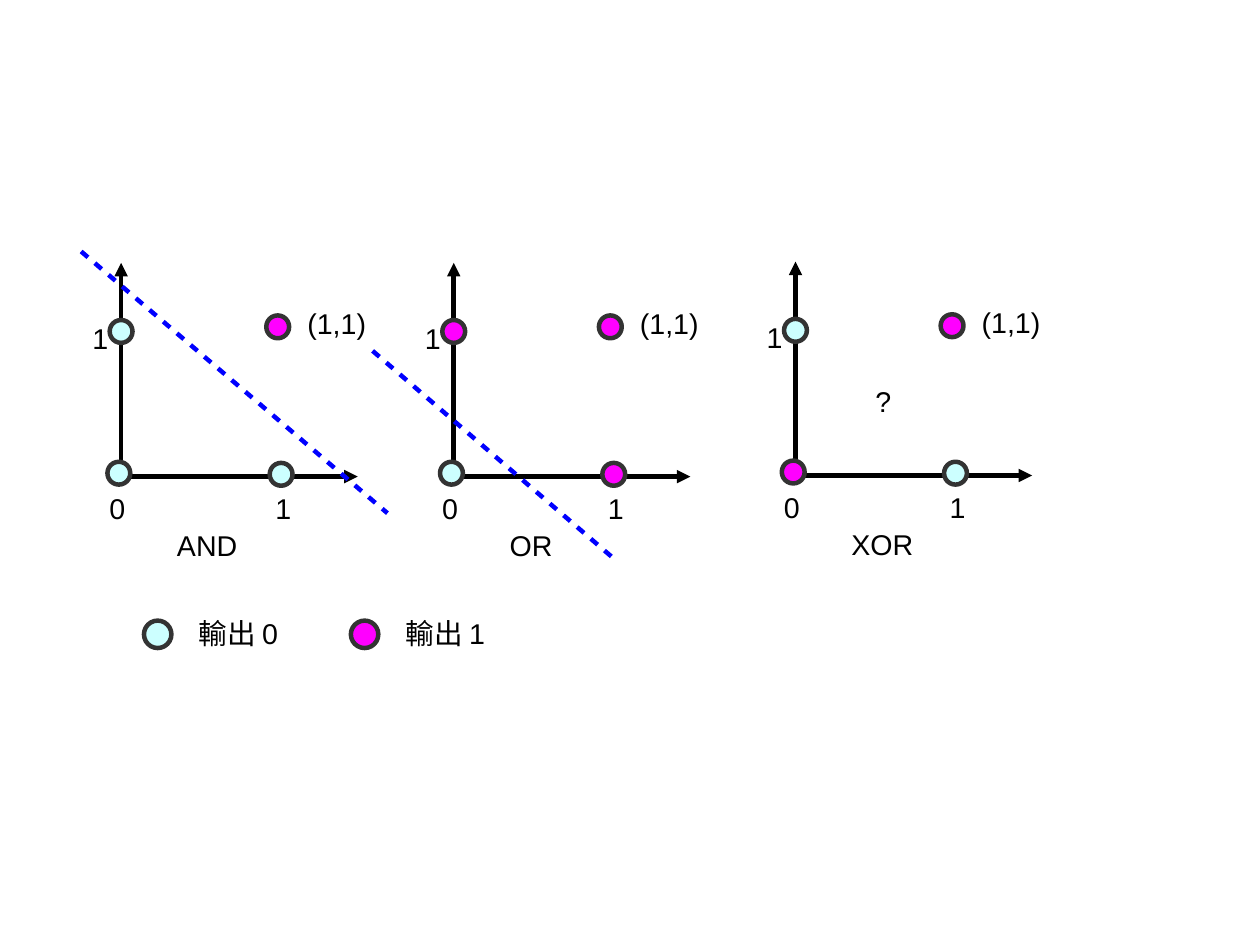
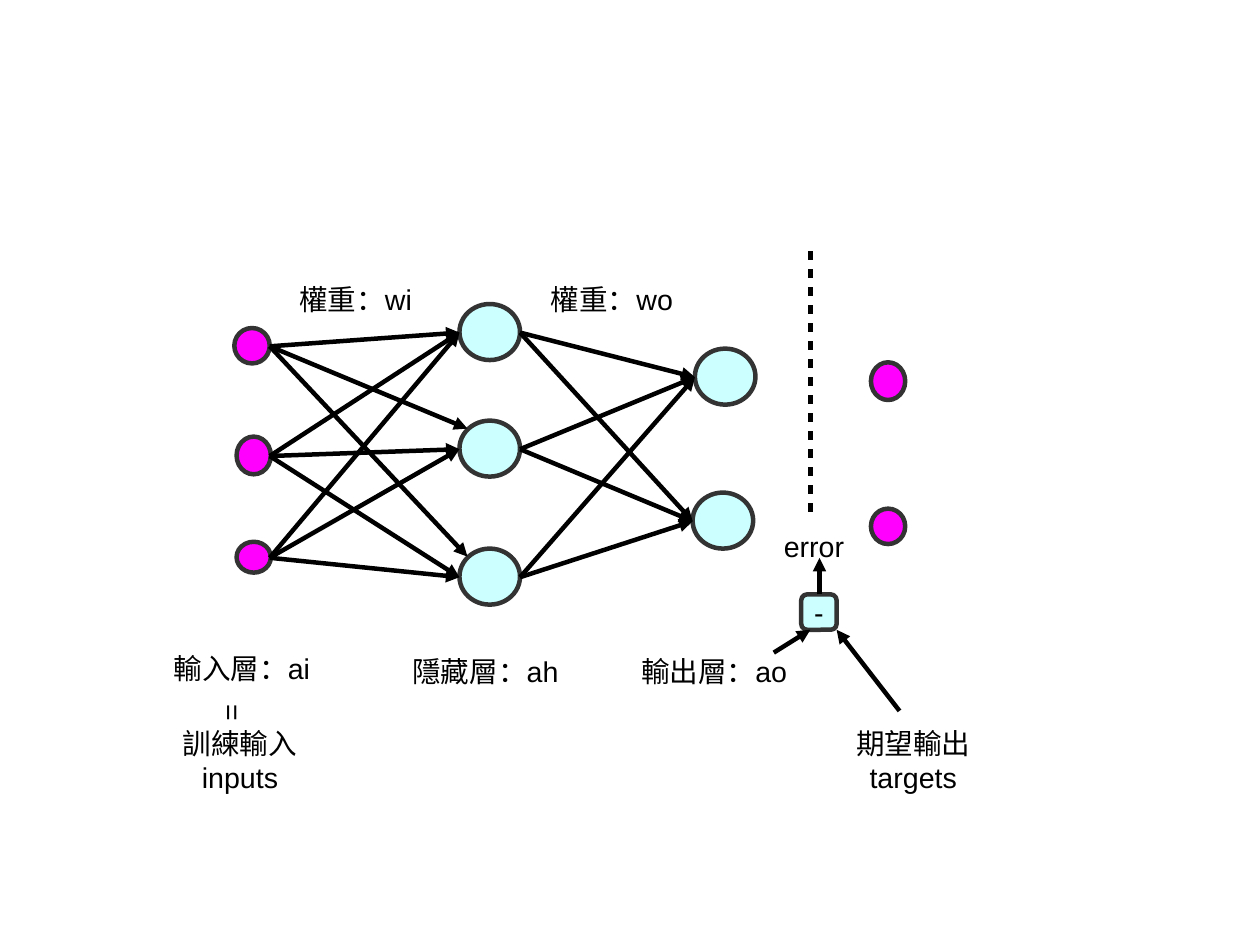
from itertools import product

from pptx import Presentation
from pptx.dml.color import RGBColor
from pptx.enum.shapes import MSO_CONNECTOR, MSO_SHAPE
from pptx.enum.text import MSO_ANCHOR, MSO_AUTO_SIZE, PP_ALIGN
from pptx.oxml.ns import qn
from pptx.util import Cm, Inches, Pt

BLACK = RGBColor(0x00, 0x00, 0x00)
OUTLINE = RGBColor(0x33, 0x33, 0x33)
CYAN = RGBColor(0xCC, 0xFF, 0xFF)
MAGENTA = RGBColor(0xFF, 0x00, 0xFF)
BLUE = RGBColor(0x00, 0x00, 0xFF)
FONT = "Arial"
TEXT_SIZE = Pt(18)
STROKE = Pt(2.83)
OUTPUT_COLORS = (CYAN, MAGENTA)


def write(frame, text, align=PP_ALIGN.LEFT, wrap=False):
    frame.text = text
    frame.word_wrap = wrap
    for paragraph in frame.paragraphs:
        paragraph.alignment = align
        paragraph.font.name = FONT
        paragraph.font.size = TEXT_SIZE
        paragraph.font.color.rgb = BLACK


def add_label(slide, text, left, top, width, height, align=PP_ALIGN.LEFT, wrap=False):
    label = slide.shapes.add_textbox(
        Inches(left), Inches(top), Inches(width), Inches(height))
    write(label.text_frame, text, align, wrap)
    label.text_frame.auto_size = MSO_AUTO_SIZE.SHAPE_TO_FIT_TEXT
    return label


def add_vertical_label(slide, text, left, top, width, height):
    label = add_label(slide, text, left, top, width, height)
    frame = label.text_frame
    frame.margin_left = frame.margin_right = Inches(0.05)
    frame.margin_top = frame.margin_bottom = Inches(0.1)
    label.element.find(qn("p:txBody")).find(qn("a:bodyPr")).set("vert", "eaVert")


def add_node(slide, color, left, top, width, height, outline=MSO_SHAPE.OVAL):
    node = slide.shapes.add_shape(
        outline, Inches(left), Inches(top), Inches(width), Inches(height))
    node.shadow.inherit = False
    node.fill.solid()
    node.fill.fore_color.rgb = color
    node.line.color.rgb = OUTLINE
    node.line.width = STROKE
    return node


def add_line(slide, start, end, color=BLACK):
    line = slide.shapes.add_connector(
        MSO_CONNECTOR.STRAIGHT, *(Inches(value) for value in (*start, *end)))
    line.line.color.rgb = color
    line.line.width = STROKE
    properties = line.element.spPr
    properties.append(properties.makeelement(qn("a:effectLst"), {}))
    return properties.find(qn("a:ln"))


def add_dashed_line(slide, start, end, color):
    stroke = add_line(slide, start, end, color)
    pattern = stroke.makeelement(qn("a:custDash"), {})
    pattern.append(stroke.makeelement(qn("a:ds"), {"d": "200000", "sp": "200000"}))
    stroke.append(pattern)


def add_arrow(slide, start, end):
    stroke = add_line(slide, start, end)
    stroke.append(stroke.makeelement(qn("a:tailEnd"), {"type": "triangle"}))


def add_gate_plot(slide, gate, x, y, outputs):
    add_arrow(slide, (x, y), (x + 2.07, y))
    add_arrow(slide, (x, y), (x, y - 1.87))
    for text, dx, dy, width in (
        ("0", -0.2, 0.08, 0.37),
        ("1", 1.25, 0.08, 0.38),
        ("1", -0.35, -1.41, 0.37),
        ("(1,1)", 1.53, -1.54, 0.79),
        (gate, 0.39, 0.4, 0.81),
    ):
        add_label(slide, text, x + dx, y + dy, width, 0.39, wrap=True)
    corners = ((-0.12, -0.13), (-0.1, -1.37), (1.3, -0.12), (1.27, -1.41))
    for (dx, dy), output in zip(corners, outputs):
        add_node(slide, OUTPUT_COLORS[output], x + dx, y + dy, 0.2, 0.2)


def build_gates(slide):
    for output, color in enumerate(OUTPUT_COLORS):
        left = 1.26 + 1.81 * output
        add_node(slide, color, left, 5.43, 0.24, 0.24)
        add_label(slide, f"輸出 {output}", left + 0.38, 5.34, 0.96, 0.46)
    for gate, x, y, outputs in (
        ("AND", 1.06, 4.17, (0, 0, 0, 1)),
        ("OR", 3.97, 4.17, (0, 1, 1, 1)),
        ("XOR", 6.96, 4.16, (1, 0, 0, 1)),
    ):
        add_gate_plot(slide, gate, x, y, outputs)
    add_dashed_line(slide, (0.71, 2.2), (3.39, 4.49), BLUE)
    add_dashed_line(slide, (3.26, 3.07), (5.35, 4.87), BLUE)
    add_label(slide, "?", 7.56, 3.31, 0.34, 0.38)


def add_layers(slide):
    for left, top, width, height in (
        (2.05, 2.87, 0.31, 0.31),
        (2.07, 3.82, 0.3, 0.33),
        (2.07, 4.74, 0.3, 0.27),
        (7.62, 3.17, 0.3, 0.33),
        (7.62, 4.45, 0.3, 0.31),
    ):
        add_node(slide, MAGENTA, left, top, width, height)
    hidden_tops = (2.66, 3.68, 4.8)
    output_corners = ((6.08, 3.05), (6.06, 4.31))
    for left, top in (*((4.02, top) for top in hidden_tops), *output_corners):
        add_node(slide, CYAN, left, top, 0.53, 0.49)

    input_exits = [(2.36, y) for y in (3.03, 3.99, 4.88)]
    for (i, start), (h, top) in product(enumerate(input_exits), enumerate(hidden_tops)):
        enters_upper_left = i == 0 and h > 0
        end = (4.09, top + 0.07) if enters_upper_left else (4.02, top + 0.25)
        add_arrow(slide, start, end)
    for hidden_top, (left, top) in product(hidden_tops, output_corners):
        add_arrow(slide, (4.55, hidden_top + 0.25), (left, top + 0.25))


def add_error_unit(slide):
    add_dashed_line(slide, (7.09, 2.2), (7.09, 4.49), BLACK)
    minus = add_node(slide, CYAN, 7.01, 5.2, 0.31, 0.31, MSO_SHAPE.ROUNDED_RECTANGLE)
    write(minus.text_frame, "-", PP_ALIGN.CENTER)
    minus.text_frame.vertical_anchor = MSO_ANCHOR.MIDDLE
    for start, end in (
        ((6.77, 5.71), (7.09, 5.51)),
        ((7.87, 6.22), (7.32, 5.51)),
        ((7.17, 5.2), (7.17, 4.88)),
    ):
        add_arrow(slide, start, end)
    add_label(slide, "error", 6.76, 4.58, 0.73, 0.38)


def build_network(slide):
    add_layers(slide)
    for text, left, top, width in (
        ("輸入層：ai", 1.42, 5.65, 1.46),
        ("隱藏層：ah", 3.51, 5.67, 1.55),
        ("輸出層：ao", 5.51, 5.67, 1.55),
        ("權重：wi", 2.52, 2.42, 1.26),
        ("權重：wo", 4.72, 2.42, 1.34),
    ):
        add_label(slide, text, left, top, width, 0.46)
    for text, left in (("訓練輸入\ninputs", 1.5), ("期望輸出\ntargets", 7.39)):
        add_label(slide, text, left, 6.3, 1.2, 0.74, PP_ALIGN.CENTER)
    add_vertical_label(slide, "=", 1.73, 6.06, 0.49, 0.25)
    add_error_unit(slide)


def main():
    presentation = Presentation()
    presentation.slide_width = Cm(28)
    presentation.slide_height = Cm(21)
    blank = presentation.slide_layouts[6]
    for build in (build_gates, build_network):
        build(presentation.slides.add_slide(blank))
    presentation.save("out.pptx")


if __name__ == "__main__":
    main()
